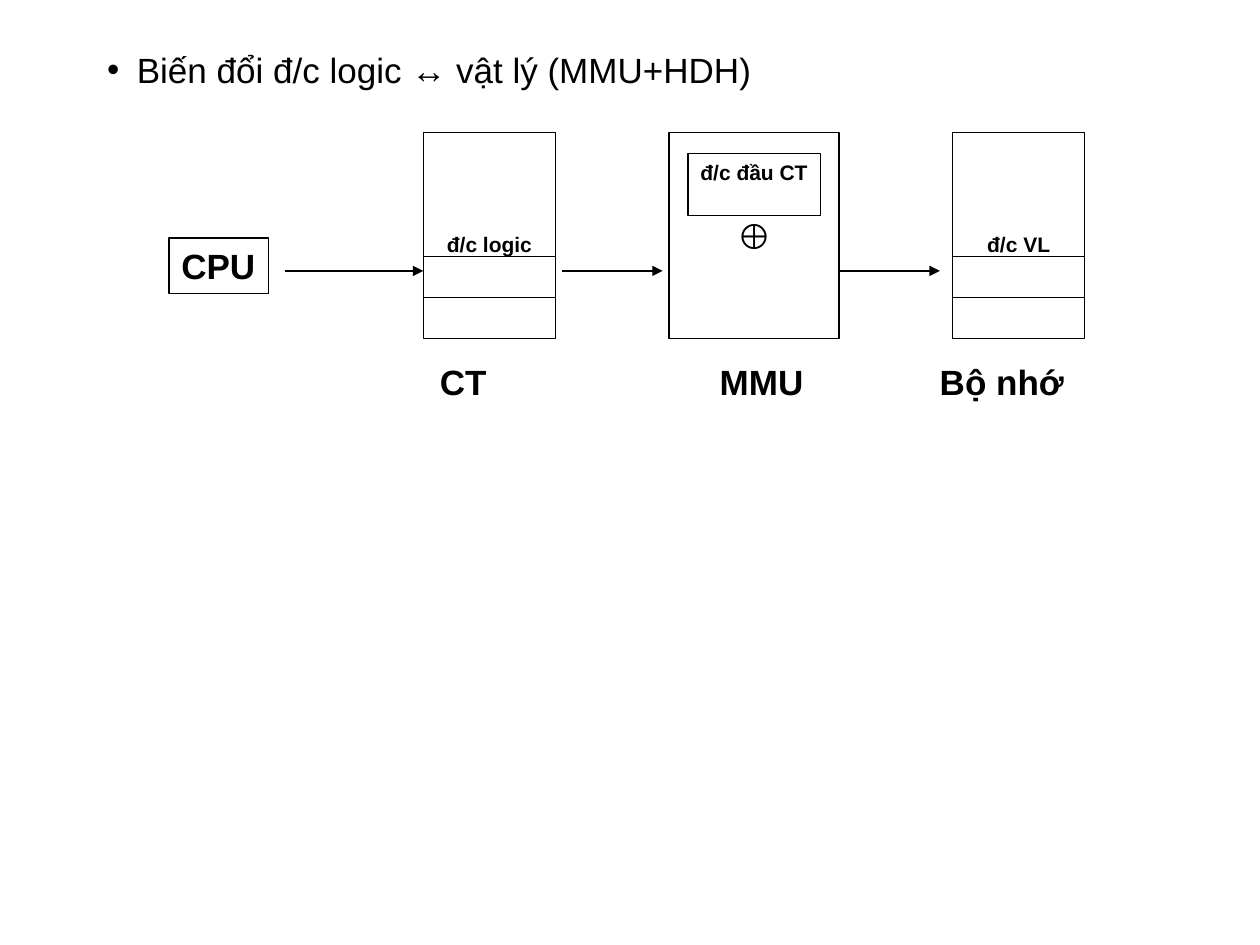
from collections import namedtuple

from lxml import etree
from pptx import Presentation
from pptx import util as u
from pptx.dml.color import RGBColor
from pptx.enum import shapes, text
from pptx.oxml import ns

COLORS = {"ink": "000000", "paper": "FFFFFF"}
FONT = "Arial"
Box = namedtuple("Box", "left top width height")


def color(name):
    """Return the named colour."""
    return RGBColor.from_string(COLORS[name])


def points(*lengths):
    """Convert lengths in points for python-pptx."""
    return [u.Pt(length) for length in lengths]


def write(shape, words, size=12, bold=True, align=text.PP_ALIGN.LEFT, top=3.6, wrap=True):
    """Write one formatted paragraph into a shape and return it."""
    frame = shape.text_frame
    frame.word_wrap = wrap
    frame.auto_size = text.MSO_AUTO_SIZE.NONE
    frame.vertical_anchor = text.MSO_ANCHOR.TOP
    frame.margin_left, frame.margin_right = points(7.2, 7.2)
    frame.margin_top, frame.margin_bottom = points(top, 3.6)
    para = frame.paragraphs[0]
    para.alignment = align
    para.space_before = u.Pt(0)
    span = para.add_run()
    span.text = words
    span.font.name = FONT
    span.font.size = u.Pt(size)
    span.font.bold = bold
    span.font.color.rgb = color("ink")
    return para


def add_frame(page, box, filled=True):
    """Draw an outlined rectangle."""
    frame = page.shapes.add_shape(shapes.MSO_SHAPE.RECTANGLE, *points(*box))
    frame.shadow.inherit = False
    if filled:
        frame.fill.solid()
        frame.fill.fore_color.rgb = color("paper")
    else:
        frame.fill.background()
    frame.line.color.rgb = color("ink")
    frame.line.width = u.Pt(0.75)
    return frame


def add_line(page, start, end, y, arrow=False):
    """Draw a horizontal line, with an arrowhead at its end if asked."""
    line = page.shapes.add_connector(shapes.MSO_CONNECTOR.STRAIGHT, *points(start, y, end, y))
    line.line.color.rgb = color("ink")
    line.line.width = u.Pt(0.75)
    if arrow:
        etree.SubElement(line.line._get_or_add_ln(), ns.qn("a:tailEnd"), type="triangle")
    etree.SubElement(line._element.spPr, ns.qn("a:effectLst"))


def add_heading(page, box, words):
    """Place the bulleted sentence in the body placeholder."""
    title = page.shapes.title
    title._element.getparent().remove(title._element)
    body = page.placeholders[1]
    body.left, body.top, body.width, body.height = points(*box)
    props = write(body, words, size=20, bold=False)._p.get_or_add_pPr()
    props.set("marL", str(u.Pt(17)))
    props.set("indent", str(u.Pt(-17)))


def add_memory(page, box, words):
    """Draw a memory block with an address label above its marked cell."""
    block = add_frame(page, box)
    write(block, words, align=text.PP_ALIGN.CENTER, top=56.5)
    for share in (0.6, 0.8):
        add_line(page, box.left, box.left + box.width, box.top + box.height * share)


def add_mmu(page, box):
    """Draw the MMU with its base register and adder."""
    write(add_frame(page, box), "⊕", size=20, align=text.PP_ALIGN.CENTER, top=47)
    register = Box(box.left + 10.8, box.top + 12, box.width - 21.6, 35.4)
    write(add_frame(page, register), "đ/c đầu CT", align=text.PP_ALIGN.CENTER)


def add_captions(page, box):
    """Write one caption under each block."""
    for offset, words in ((0, "CT"), (160, "MMU"), (285.7, "Bộ nhớ")):
        place = Box(box.left + offset, box.top, 91.6, box.height)
        write(page.shapes.add_textbox(*points(*place)), words, size=20)


def add_diagram(page, box):
    """Draw the path from CPU through program and MMU to memory."""
    program, mmu, memory = (
        Box(box.left + offset, box.top, width, 118)
        for offset, width in ((145.4, 75.6), (285.8, 97.2), (447.8, 75.6))
    )
    add_memory(page, program, "đ/c logic")
    add_mmu(page, mmu)
    add_memory(page, memory, "đ/c VL")
    cpu = Box(box.left, box.top + 60.5, 56.9, 31.7)
    write(add_frame(page, cpu, filled=False), "CPU", size=20, wrap=False)
    add_captions(page, Box(program.left + 2.3, box.top + 126.9, 377.3, 31.7))
    for start, end in (
        (cpu.left + 66.2, program.left),
        (program.left + 79.2, mmu.left - 3.6),
        (mmu.left + mmu.width, memory.left - 7.2),
    ):
        add_line(page, start, end, box.top + 79.2, arrow=True)


def main():
    """Build and save the deck."""
    deck = Presentation()
    deck.slide_width, deck.slide_height = points(720, 540)
    page = deck.slides.add_slide(deck.slide_layouts[1])
    add_heading(page, Box(54, 24, 601.2, 31.7), "Biến đổi đ/c logic ↔ vật lý (MMU+HDH)")
    add_diagram(page, Box(96.5, 75.6, 523.4, 158.6))
    deck.save("out.pptx")


if __name__ == "__main__":
    main()
